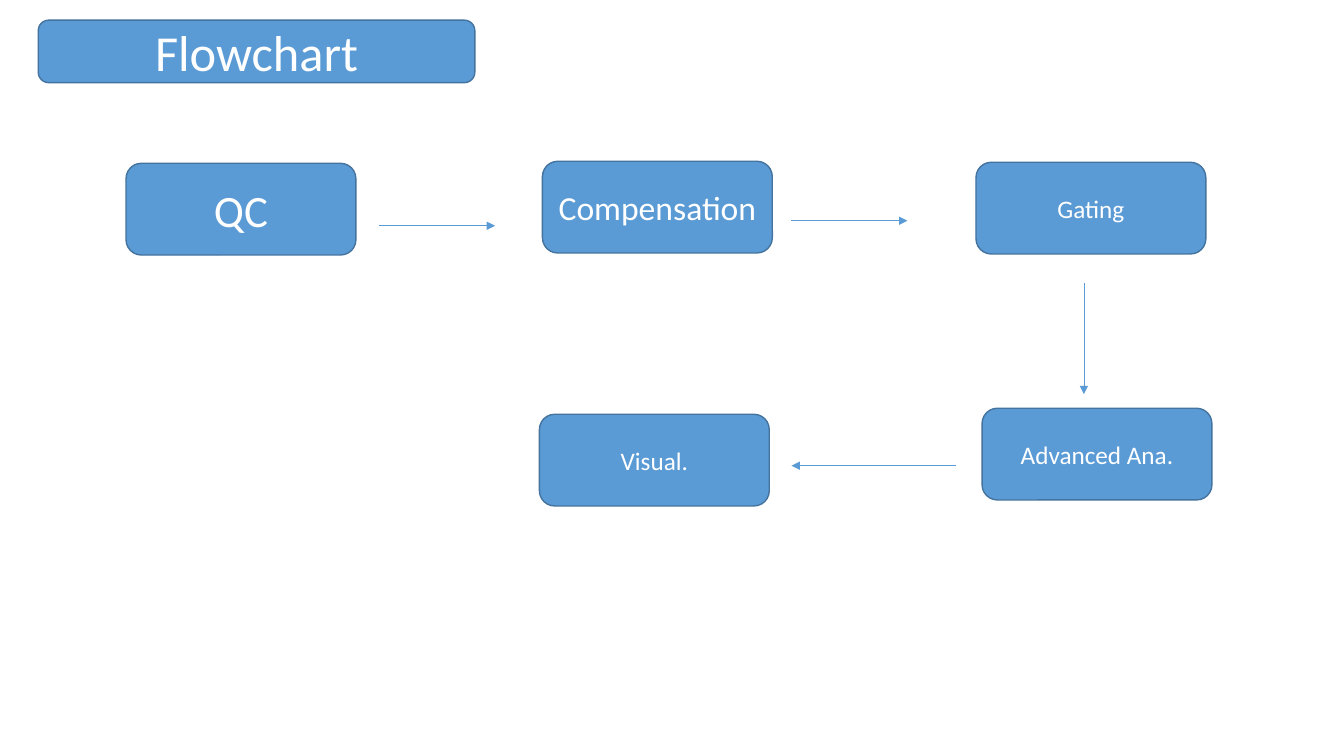
from pptx import Presentation, util as u
from pptx.dml import color
from pptx.enum import shapes, text
from pptx.oxml import ns
from lxml import etree

CELL = u.Inches(0.1)


def rgb(value):
    return color.RGBColor.from_string(value)


def cells(*counts):
    return [round(count * CELL) for count in counts]


class FlowSlide:
    fill = "5B9BD5"
    outline = "43739E"
    label_format = {"name": "Calibri", "bold": False}
    frame_format = {"word_wrap": True, "vertical_anchor": text.MSO_ANCHOR.MIDDLE}

    def __init__(self, deck):
        self.slide = deck.slides.add_slide(deck.slide_layouts[6])

    def box(self, label, size, column, row, columns=22.8, rows=9.1):
        box = self.slide.shapes.add_shape(
            shapes.MSO_SHAPE.ROUNDED_RECTANGLE, *cells(column, row, columns, rows))
        box.shadow.inherit = False
        box.fill.solid()
        box.fill.fore_color.rgb = rgb(self.fill)
        box.line.color.rgb = rgb(self.outline)
        box.line.width = u.Pt(1)
        for key, value in self.frame_format.items():
            setattr(box.text_frame, key, value)
        paragraph = box.text_frame.paragraphs[0]
        paragraph.alignment = text.PP_ALIGN.CENTER
        run = paragraph.add_run()
        run.text = label
        for key, value in {**self.label_format, "size": u.Pt(size)}.items():
            setattr(run.font, key, value)
        run.font.color.rgb = rgb("FFFFFF")

    def arrow(self, column, row, columns=0, rows=0):
        arrow = self.slide.shapes.add_connector(
            shapes.MSO_CONNECTOR.STRAIGHT,
            *cells(column, row, column + columns, row + rows))
        arrow.line.color.rgb = rgb(self.fill)
        arrow.line.width = u.Pt(0.5)
        properties = arrow.line._get_or_add_ln()
        etree.SubElement(properties, ns.qn("a:tailEnd"), type="triangle")
        etree.SubElement(arrow._element.spPr, ns.qn("a:effectLst"))


def main():
    deck = Presentation()
    deck.slide_width, deck.slide_height = u.Inches(13.33), u.Inches(7.5)
    flow = FlowSlide(deck)

    flow.box("Flowchart", 36, 3.8, 2, 43.3, 6.2)
    steps = [
        ("QC", 32, 12.5, 16.2),
        ("Compensation", 24, 53.8, 16),
        ("Gating", 18, 96.8, 16.1),
        ("Advanced Ana.", 18, 97.4, 40.5),
        ("Visual.", 18, 53.5, 41.1),
    ]
    for step in steps:
        flow.box(*step)

    flow.arrow(37.6, 22.4, columns=11.5)
    flow.arrow(78.5, 21.9, columns=11.5)
    flow.arrow(107.5, 28.1, rows=11)
    flow.arrow(94.8, 46.2, columns=-16.3)

    deck.save("out.pptx")


if __name__ == "__main__":
    main()
